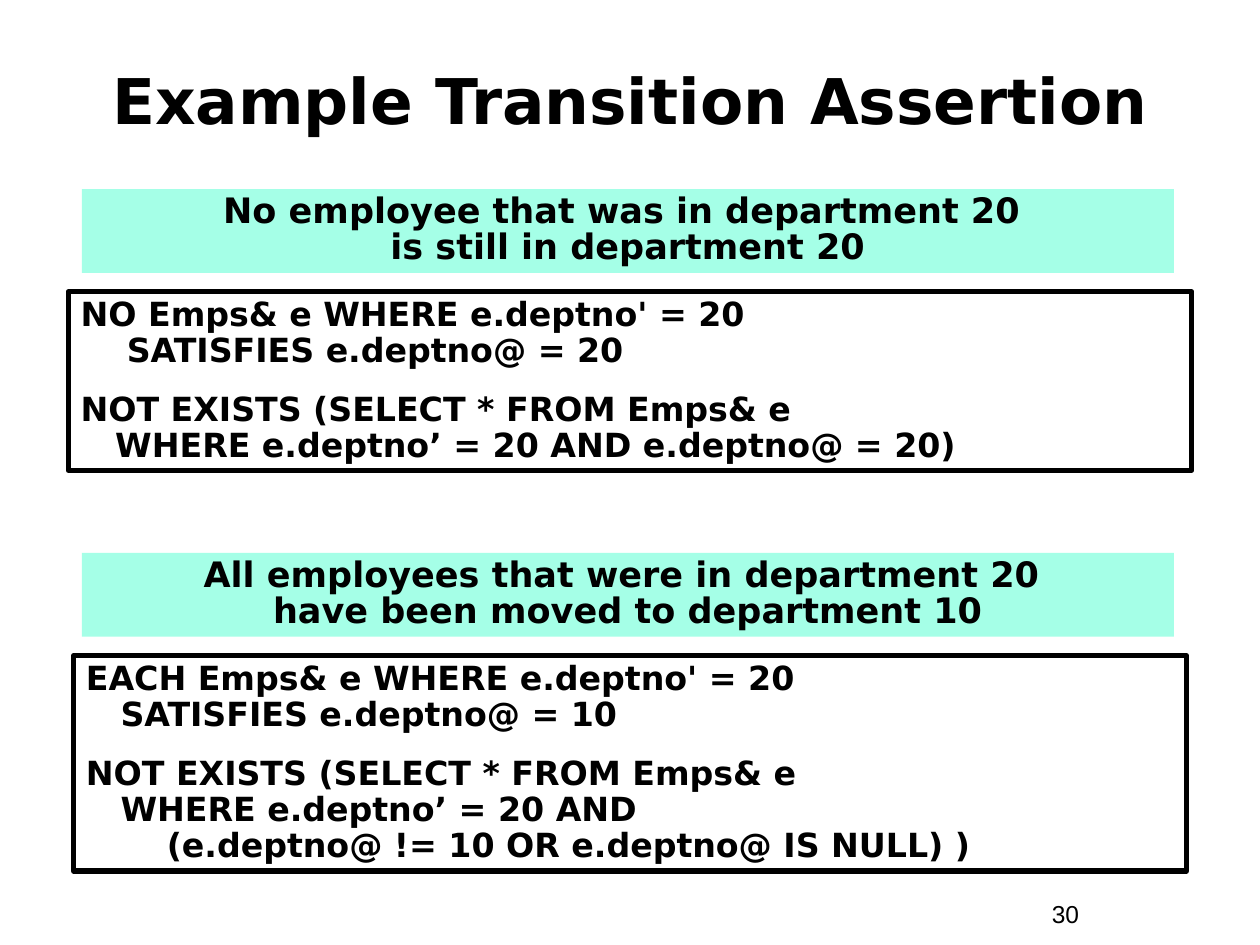
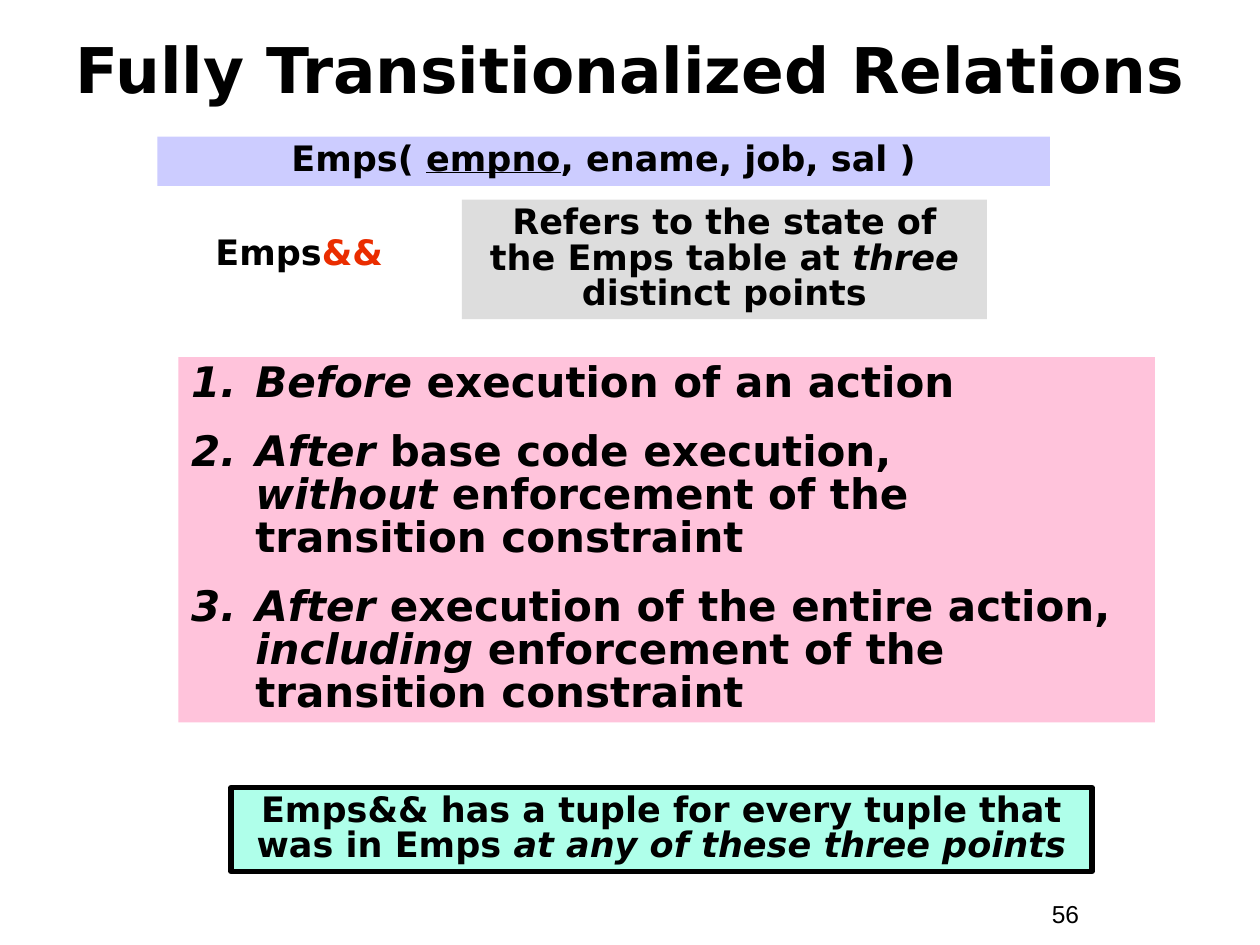
import dataclasses

import pptx
import pptx.dml.color
import pptx.enum.text
import pptx.enum.shapes
import pptx.oxml.ns
import pptx.util
from lxml import etree

ALIGN = pptx.enum.text.PP_ALIGN
ANCHOR = pptx.enum.text.MSO_ANCHOR
COLS, ROWS = 120, 90


@dataclasses.dataclass(frozen=True)
class Theme:
    font: str = "DejaVu Sans"
    foot_font: str = "Arial"
    ink: str = "000000"
    alert: str = "EA2D00"
    mint: str = "A5FFE7"
    aqua: str = "AFFFEA"
    grey: str = "DDDDDD"
    pink: str = "FFC3DB"
    lilac: str = "CCCCFF"
    title: int = 36
    list: int = 24
    text: int = 20
    code: int = 19
    foot: int = 14
    border: int = 3
    tight: float = 0.85
    loose: float = 0.9
    indent: float = 0.51


def color(code):
    return pptx.dml.color.RGBColor.from_string(code)


class Deck:
    """Places elements on the current slide; areas are (column, row, width, height)."""

    def __init__(self, theme):
        self.theme = theme
        self.show = pptx.Presentation()
        self.show.slide_width = pptx.util.Inches(10)
        self.show.slide_height = pptx.util.Inches(7.5)
        self.slide = None

    def area(self, left, top, width, height):
        across = self.show.slide_width / COLS
        down = self.show.slide_height / ROWS
        return (round(left * across), round(top * down),
                round(width * across), round(height * down))

    def move(self, shape, area):
        shape.left, shape.top, shape.width, shape.height = self.area(*area)

    def start(self, layout, title, top, number):
        self.slide = self.show.slides.add_slide(self.show.slide_layouts[layout])
        head = self.slide.shapes.title
        self.move(head, (4, top, 112, 11))
        self.fill(head, [[title]], self.theme.title, align=ALIGN.CENTER,
                  anchor=ANCHOR.MIDDLE)
        self.label((99, 85, 11, 4), [number], size=self.theme.foot,
                   font=self.theme.foot_font, bold=False, align=ALIGN.LEFT)

    def fill(self, shape, paras, size, lead=1.0, gap=0, align=ALIGN.LEFT,
             anchor=ANCHOR.TOP, font=None, bold=True):
        """Set a shape's text; each paragraph is a list of strings or (string, mark)."""
        frame = shape.text_frame
        frame.word_wrap = True
        frame.auto_size = pptx.enum.text.MSO_AUTO_SIZE.NONE
        frame.vertical_anchor = anchor
        for index, parts in enumerate(paras):
            para = frame.add_paragraph() if index else frame.paragraphs[0]
            para.alignment = align
            para.line_spacing = lead
            para.space_before = pptx.util.Pt(gap if index else 0)
            for part in parts:
                text, mark = (part, "") if isinstance(part, str) else part
                for turn, line in enumerate(text.split("\n")):
                    if turn:
                        para.add_line_break()
                    if line:
                        self.add(para, line, mark, size, font, bold)

    def add(self, para, text, mark, size, font, bold):
        """Add one run."""
        run = para.add_run()
        run.text = text
        face = run.font
        face.name = font or self.theme.font
        face.size = pptx.util.Pt(size)
        face.bold = bold
        face.italic = mark == "italic"
        face.underline = mark == "under"
        face.color.rgb = color(self.theme.alert if mark == "alert"
                               else self.theme.ink)

    def label(self, area, parts, size=None, **look):
        box = self.slide.shapes.add_textbox(*self.area(*area))
        look = {"align": ALIGN.CENTER} | look
        self.fill(box, [parts], size or self.theme.text, **look)

    def block(self, area, fill=None, edge=False):
        rect = pptx.enum.shapes.MSO_SHAPE.RECTANGLE
        shape = self.slide.shapes.add_shape(rect, *self.area(*area))
        shape.shadow.inherit = False
        if fill:
            shape.fill.solid()
            shape.fill.fore_color.rgb = color(fill)
        else:
            shape.fill.background()
        if edge:
            shape.line.color.rgb = color(self.theme.ink)
            shape.line.width = pptx.util.Pt(self.theme.border)
        else:
            shape.line.fill.background()
        return shape

    def band(self, area, parts, fill, edge=False):
        self.fill(self.block(area, fill, edge), [parts], self.theme.text,
                  self.theme.tight, align=ALIGN.CENTER)

    def code(self, area, paras):
        self.fill(self.block(area, edge=True), [[text] for text in paras],
                  self.theme.code, self.theme.loose, 13)

    def steps(self, area, paras, fill):
        """Numbered list in the body placeholder."""
        body = self.slide.placeholders[1]
        self.move(body, area)
        body.fill.solid()
        body.fill.fore_color.rgb = color(fill)
        self.fill(body, paras, self.theme.list, self.theme.tight, 15)
        name = pptx.oxml.ns.qn
        inset = pptx.util.Inches(self.theme.indent)
        for para in body.text_frame.paragraphs:
            props = para._p.get_or_add_pPr()
            props.set("marL", str(inset))
            props.set("indent", str(-inset))
            tint = etree.SubElement(props, name("a:buClr"))
            etree.SubElement(tint, name("a:srgbClr"), val=self.theme.ink)
            etree.SubElement(props, name("a:buFont"), typeface="+mj-lt")
            etree.SubElement(props, name("a:buAutoNum"), type="arabicPeriod")


def rules(deck):
    deck.start(5, "Example Transition Assertion", 4, "30")
    pairs = [
        (18, "No employee that was in department 20 \nis still in department 20",
         107, 17,
         ["NO Emps& e WHERE e.deptno' = 20\n    SATISFIES e.deptno@ = 20",
          "NOT EXISTS (SELECT * FROM Emps& e\n"
          "   WHERE e.deptno’ = 20 AND e.deptno@ = 20)"]),
        (52.65, "All employees that were in department 20 \n"
         "have been moved to department 10",
         106, 20.5,
         ["EACH Emps& e WHERE e.deptno' = 20\n   SATISFIES e.deptno@ = 10",
          "NOT EXISTS (SELECT * FROM Emps& e\n"
          "   WHERE e.deptno’ = 20 AND\n"
          "       (e.deptno@ != 10 OR e.deptno@ IS NULL) )"]),
    ]
    for top, claim, width, height, code in pairs:
        deck.band((7.8, top, 104, 8), [claim], deck.theme.mint)
        deck.code(((COLS - width) / 2, top + 9.8, width, height), code)


def states(deck):
    theme = deck.theme
    deck.start(1, "Fully Transitionalized Relations", 1, "56")
    deck.label((14, 22, 29, 4.7), ["Emps", ("&&", "alert")], lead=theme.tight)
    deck.band((44, 19, 50, 11.4),
              ["Refers to the state of the Emps table at ", ("three", "italic"),
               " distinct points"], theme.grey)
    deck.steps((17, 34, 93, 34.8), [
        [("Before", "italic"), " execution of an action"],
        [("After", "italic"), " base code execution, \n", ("without", "italic"),
         " enforcement of the transition constraint"],
        [("After", "italic"), " execution of the entire action, ",
         ("including", "italic"), " enforcement of the transition constraint"],
    ], theme.pink)
    deck.band((15, 13, 85, 4.7),
              ["Emps( ", ("empno", "under"), ", ename, job, sal )"], theme.lilac)
    deck.band((22, 75, 82, 8),
              ["Emps&& has a tuple for every tuple that was in Emps ",
               ("at any of these three points", "italic")], theme.aqua, edge=True)


def main():
    deck = Deck(Theme())
    rules(deck)
    states(deck)
    deck.show.save("out.pptx")


if __name__ == "__main__":
    main()
